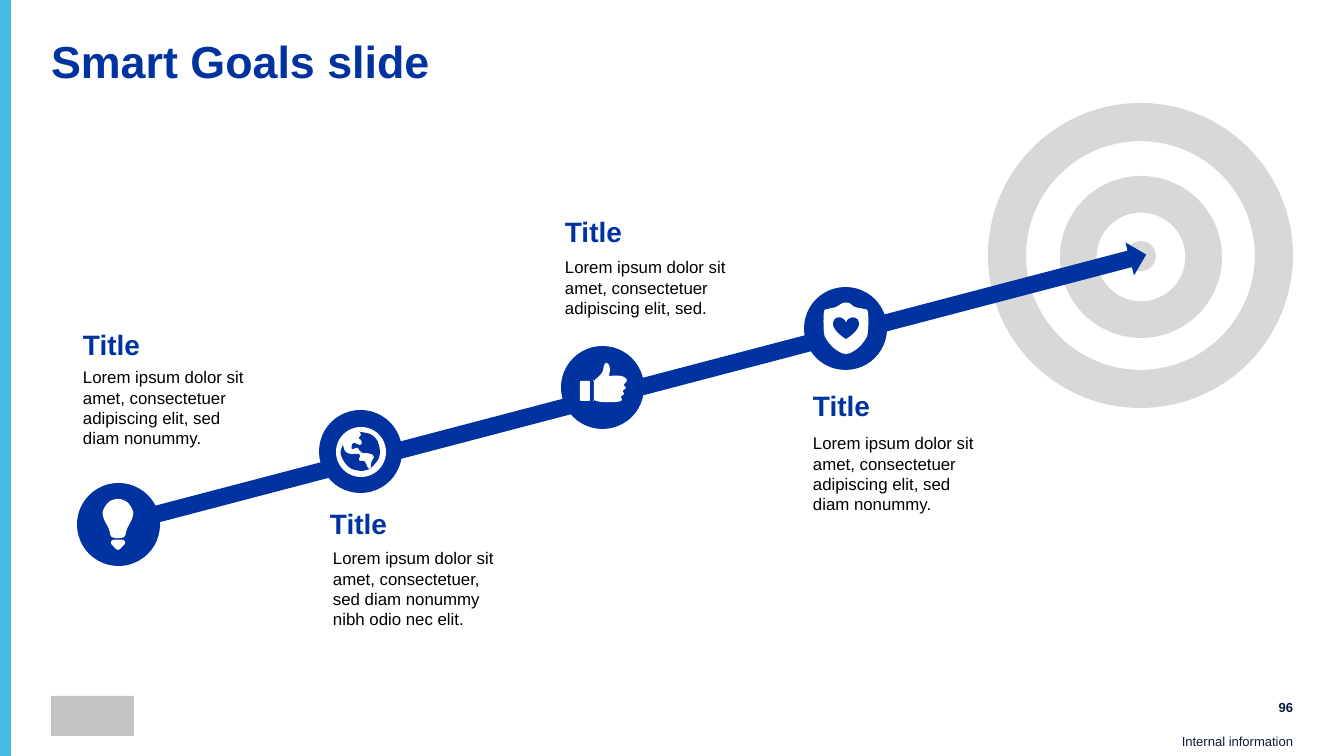
from pptx import Presentation
from pptx.dml.color import RGBColor
from pptx.enum.shapes import MSO_SHAPE
from pptx.enum.text import MSO_ANCHOR, PP_ALIGN
from pptx.util import Pt

RECT, ROUNDED, OVAL = MSO_SHAPE.RECTANGLE, MSO_SHAPE.ROUNDED_RECTANGLE, MSO_SHAPE.OVAL
DONUT, ARROW, HEART = MSO_SHAPE.DONUT, MSO_SHAPE.RIGHT_ARROW, MSO_SHAPE.HEART
TOP, MIDDLE, BOTTOM = MSO_ANCHOR.TOP, MSO_ANCHOR.MIDDLE, MSO_ANCHOR.BOTTOM
LEFT, RIGHT = PP_ALIGN.LEFT, PP_ALIGN.RIGHT
PX = 914400 / 134.4
BLUE, GREY, WHITE, NAVY = "0033A0", "D8D8D8", "FFFFFF", "0E1941"


def paint(shape, color):
    shape.shadow.inherit = False
    shape.fill.solid()
    shape.fill.fore_color.rgb = RGBColor.from_string(color)
    shape.line.fill.background()


def write(place, text, size, color, bold=False, align=LEFT, anchor=TOP, insets=(0, 0, 0, 0)):
    box = page.shapes.add_textbox(*[round(v * PX) for v in place])
    frame = box.text_frame
    frame.word_wrap = True
    frame.vertical_anchor = anchor
    (frame.margin_left, frame.margin_top,
     frame.margin_right, frame.margin_bottom) = [round(v * PX) for v in insets]
    para = frame.paragraphs[0]
    para.alignment = align
    span = para.add_run()
    span.text = text
    span.font.name = "Arial"
    span.font.size = Pt(size)
    span.font.bold = bold
    span.font.color.rgb = RGBColor.from_string(color)
    return para


deck = Presentation()
deck.slide_width, deck.slide_height = round(1344 * PX), round(756 * PX)
page = deck.slides.add_slide(deck.slide_layouts[6])

presets = [
    (RECT, (0, 0, 11, 756), "45BCE5", [], 0),
    (RECT, (51, 696, 83, 40), "C3C3C3", [], 0),
    (DONUT, (988, 103, 305, 305), GREY, [0.125], 0),
    (DONUT, (1060, 176, 162, 162), GREY, [0.226], 0),
    (OVAL, (1126, 241, 30, 30), GREY, [], 0),
    (ARROW, (73, 376, 1091, 34), BLUE, [0.5, 0.5], 345.3),
    (OVAL, (77, 483, 83, 83), BLUE, [], 0),
    (OVAL, (319, 410, 83, 83), BLUE, [], 0),
    (OVAL, (561, 346, 83, 83), BLUE, [], 0),
    (OVAL, (804, 287, 83, 83), BLUE, [], 0),
    (OVAL, (336, 427, 50, 50), WHITE, [], 0),
    (ROUNDED, (580, 381, 10, 20), WHITE, [0.12], 0),
]
for kind, place, color, adjustments, turn in presets:
    shape = page.shapes.add_shape(kind, *[round(v * PX) for v in place])
    paint(shape, color)
    shape.rotation = turn
    for index, value in enumerate(adjustments):
        shape.adjustments[index] = value

bulb = [(118, 499), (127, 502), (133, 511), (132, 519), (127, 529), (125, 536), (121, 538),
        (115, 538), (111, 536), (109, 529), (104, 519), (103, 511), (109, 502)]
bulb_cap = [(113, 540), (123, 540), (125, 543), (123, 546), (118, 550), (113, 546), (111, 543)]
thumb = [(609, 376), (609, 376), (621, 376), (627, 380), (624, 385), (626, 388), (623, 391),
         (624, 394), (621, 397), (622, 400), (617, 402), (601, 402), (594, 400), (594, 400),
         (594, 381), (594, 381), (602, 373), (604, 366), (606, 363), (609, 365), (610, 370)]
shield = [(868, 312), (864, 309), (855, 307), (849, 303), (843, 303), (836, 307), (828, 309),
          (824, 312), (824, 332), (827, 340), (835, 349), (846, 354), (857, 349), (865, 340),
          (868, 332)]
east_sea = [(371, 465), (372, 461), (374, 458), (373, 455), (371, 454), (366, 453), (363, 453),
            (360, 451), (358, 448), (356, 448), (352, 449), (352, 445), (354, 443), (357, 444),
            (360, 445), (362, 443), (361, 440), (359, 438), (361, 435), (360, 432), (360, 432),
            (370, 434), (377, 440), (380, 451), (378, 460), (371, 468), (371, 468)]
west_sea = [(345, 451), (350, 454), (358, 454), (360, 456), (359, 459), (360, 461), (364, 461),
            (366, 464), (368, 468), (370, 469), (370, 469), (362, 471), (352, 469), (345, 463),
            (341, 455), (341, 450), (343, 445), (343, 445)]

outlines = [(bulb, WHITE), (bulb_cap, WHITE), (thumb, WHITE), (shield, WHITE),
            (east_sea, BLUE), (west_sea, BLUE)]
for points, color in outlines:
    curve = []
    for i in range(len(points)):
        corners = [points[(i + k) % len(points)] for k in (-1, 0, 1, 2)]
        for t in (0, 0.25, 0.5, 0.75):
            curve.append([
                PX * (2 * b + (c - a) * t + (2 * a - 5 * b + 4 * c - d) * t ** 2
                      + (3 * b - a - 3 * c + d) * t ** 3) / 2
                for a, b, c, d in zip(*corners)])
    builder = page.shapes.build_freeform(*curve[0])
    builder.add_line_segments(curve[1:], close=True)
    paint(builder.convert_to_shape(), color)

heart = page.shapes.add_shape(HEART, *[round(v * PX) for v in (833, 317, 26, 22)])
paint(heart, BLUE)

heading = write((51, 40, 1243, 66), "Smart Goals slide", 24, BLUE, bold=True)
heading.line_spacing = 0.9

steps = [
    (79, 327, 79, 366, "Lorem ipsum dolor sit amet, consectetuer adipiscing elit, sed diam nonummy."),
    (326, 506, 329, 547, "Lorem ipsum dolor sit amet, consectetuer, sed diam nonummy nibh odio nec elit."),
    (561, 214, 561, 256, "Lorem ipsum dolor sit amet, consectetuer adipiscing elit, sed."),
    (809, 388, 809, 432, "Lorem ipsum dolor sit amet, consectetuer adipiscing elit, sed diam nonummy."),
]
for title_x, title_y, body_x, body_y, body in steps:
    write((title_x, title_y, 180, 52), "Title", 15, BLUE, bold=True, insets=(4, 1, 4, 1))
    write((body_x, body_y, 180, 99), body, 9, "000000", insets=(4, 1, 4, 1))

write((1214, 695, 79, 24), "96", 7, NAVY, bold=True, align=RIGHT, anchor=MIDDLE)
write((1172, 734, 121, 21), "Internal information", 7, NAVY, align=RIGHT, anchor=BOTTOM,
      insets=(0, 0, 0, 6))

deck.save("out.pptx")
